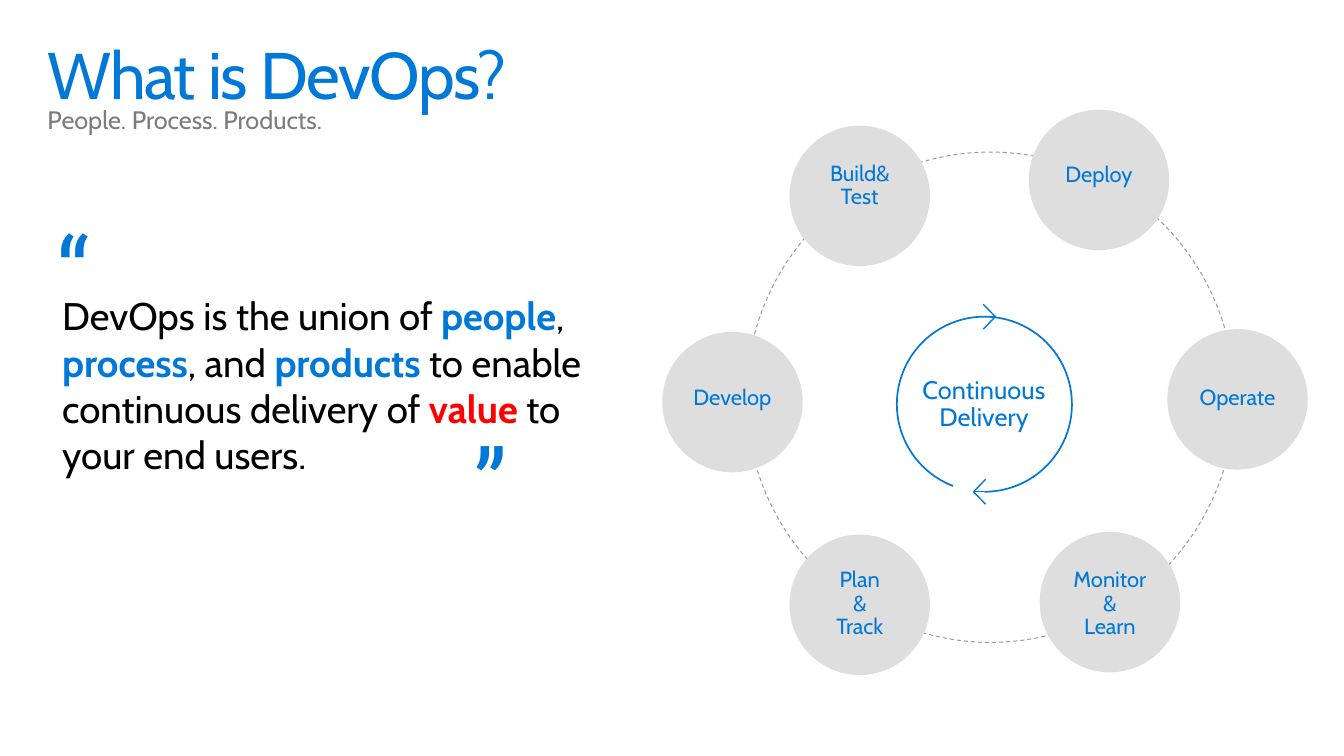
from lxml import etree
from pptx import Presentation
from pptx.dml.color import RGBColor
from pptx.enum import dml, shapes, text
from pptx.oxml.ns import qn
from pptx.util import Cm, Pt

# Content: boxes are left, top, width, height in cm
TITLE = ("What is DevOps?", (1.22, 0.64, 32.13, 2.08))
SUBTITLE = ("People. Process. Products.", (1.22, 2.67, 32.13, 0.81))
QUOTE_BOX = (1.22, 5.36, 15.04, 11)
QUOTE = [
    ("DevOps is the union of ", None), ("people", "blue"), (", ", None),
    ("process", "blue"), (", and ", None), ("products", "blue"),
    (" to enable continuous delivery of ", None), ("value", "red"),
    (" to your end users.", None),
]
QUOTE_MARKS = [("“", (1.22, 5.36, 2.18, 3.05)), ("”", (11.94, 10.82, 2.18, 3.05))]
RING = (19.18, 3.91, 12.55, 12.6)
# Label, circle left, circle top, label top, number of lines
STAGES = [
    ("Build& Test", 20.29, 3.23, 3.76, 2),
    ("Deploy", 26.44, 2.82, 3.89, 1),
    ("Operate", 30, 8.46, 9.63, 1),
    ("Monitor\v&\vLearn", 26.72, 13.67, 14.2, 3),
    ("Plan\v&\vTrack", 20.29, 13.74, 14.2, 3),
    ("Develop", 17.02, 8.53, 9.63, 1),
]
HUB = ("Continuous\vDelivery", (22.94, 8.81, 4.7, 3.18))
HUB_X, HUB_Y, HUB_R = 25.3, 10.39, 2.25
# Start angle, end angle, direction of the arrow
ARCS = [(291, 90, -1), (111, 270, 1)]
STAGE_SIZE, LABEL_W, LINE_H, LABEL_PAD = 3.61, 3.3, 0.62, 0.82

THEME = {
    "font": "Cabin", "mark_font": "Roboto Slab",
    "blue": RGBColor(0x00, 0x78, 0xD7), "red": RGBColor(0xFF, 0, 0),
    "black": RGBColor(0, 0, 0), "grey": RGBColor(0x7C, 0x7C, 0x7C),
    "ring": RGBColor(0x9A, 0x9A, 0x9A), "disc": RGBColor(0xDE, 0xDE, 0xDE),
    "title": 48, "subtitle": 18.4, "quote": 28, "mark": 64, "label": 16,
}

prs = Presentation()
prs.slide_width, prs.slide_height = Cm(34.54), Cm(19.43)
slide = prs.slides.add_slide(prs.slide_layouts[6])


def cm(values):
    return [Cm(v) for v in values]


def add_text(words, box, size, color="blue", font="font", insets=(0, 0, 0, 0),
             align=text.PP_ALIGN.LEFT, anchor=text.MSO_ANCHOR.TOP,
             spacing=None, tracking=0, wrap=True):
    tf = slide.shapes.add_textbox(*cm(box)).text_frame
    tf.word_wrap, tf.vertical_anchor = wrap, anchor
    tf.margin_left, tf.margin_top, tf.margin_right, tf.margin_bottom = cm(insets)
    p = tf.paragraphs[0]
    p.text, p.alignment = words, align
    if spacing:
        p.line_spacing = spacing
    p.font.name, p.font.size = THEME[font], Pt(THEME[size])
    p.font.color.rgb = THEME[color]
    if tracking:
        p._p.pPr.find(qn("a:defRPr")).set("spc", str(tracking))
    return p


def outline(sp, color, width):
    sp.line.color.rgb, sp.line.width = THEME[color], Pt(width)


def add_shape(kind, box):
    sp = slide.shapes.add_shape(kind, *cm(box))
    sp.shadow.inherit = False
    sp.fill.background()
    return sp


# Heading
add_text(*SUBTITLE, "subtitle", "grey")
add_text(*TITLE, "title", insets=(0, 0.46, 0, 0), spacing=0.9, tracking=-100)

# Quotation
p = add_text("", QUOTE_BOX, "quote", "black", insets=(0.38, 2.16, 0.51, 0.41))
for words, accent in QUOTE:
    r = p.add_run()
    r.text = words
    if accent:
        r.font.bold = True
        r.font.color.rgb = THEME[accent]
for mark, box in QUOTE_MARKS:
    add_text(mark, box, "mark", font="mark_font", insets=(0.25, 0.13, 0.25, 0.13),
             tracking=-10, wrap=False)

# Dashed ring
ring = add_shape(shapes.MSO_SHAPE.OVAL, RING)
outline(ring, "ring", 0.75)
ring.line.dash_style = dml.MSO_LINE.DASH

# Stages, each label centred across its circle
for label, left, top, label_top, lines in STAGES:
    disc = add_shape(shapes.MSO_SHAPE.OVAL, (left, top, STAGE_SIZE, STAGE_SIZE))
    disc.fill.solid()
    disc.fill.fore_color.rgb = THEME["disc"]
    disc.line.fill.background()
    label_left = left + (STAGE_SIZE - LABEL_W) / 2
    add_text(label, (label_left, label_top, LABEL_W, lines * LINE_H + LABEL_PAD),
             "label", insets=(0.51, 0.41, 0.51, 0.41),
             align=text.PP_ALIGN.CENTER, spacing=0.9)

# Hub with two circling arrows
add_text(*HUB, "subtitle", align=text.PP_ALIGN.CENTER,
         anchor=text.MSO_ANCHOR.MIDDLE, spacing=0.9, tracking=10)
for start, end, way in ARCS:
    arc = add_shape(shapes.MSO_SHAPE.ARC,
                    (HUB_X - HUB_R, HUB_Y - HUB_R, 2 * HUB_R, 2 * HUB_R))
    for i, angle in enumerate((start, end)):
        arc.adjustments[i] = (angle if angle <= 180 else angle - 360) * 0.6
    outline(arc, "blue", 1.25)

    tip_x, tip_y = HUB_X + way * 0.28, HUB_Y - way * HUB_R
    wing_x = tip_x - way * 0.31
    fb = slide.shapes.build_freeform(Cm(wing_x), Cm(tip_y - 0.32))
    fb.add_line_segments([cm((tip_x, tip_y)), cm((wing_x, tip_y + 0.32))], close=False)
    head = fb.convert_to_shape()
    head.shadow.inherit = False
    head.fill.background()
    outline(head, "blue", 1)

    stem = slide.shapes.add_connector(shapes.MSO_CONNECTOR.STRAIGHT,
                                      *cm((HUB_X, tip_y, tip_x, tip_y)))
    outline(stem, "blue", 1)
    etree.SubElement(stem._element.spPr, qn("a:effectLst"))

prs.save("out.pptx")
